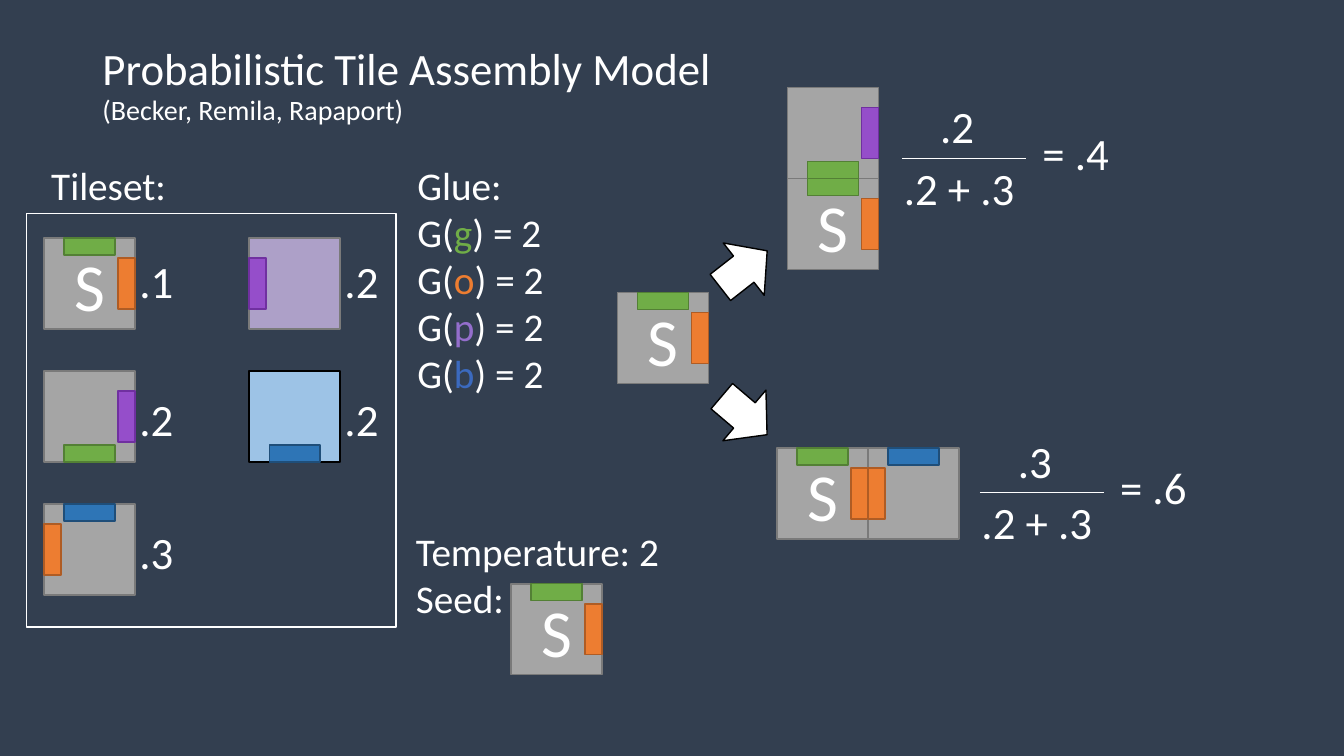
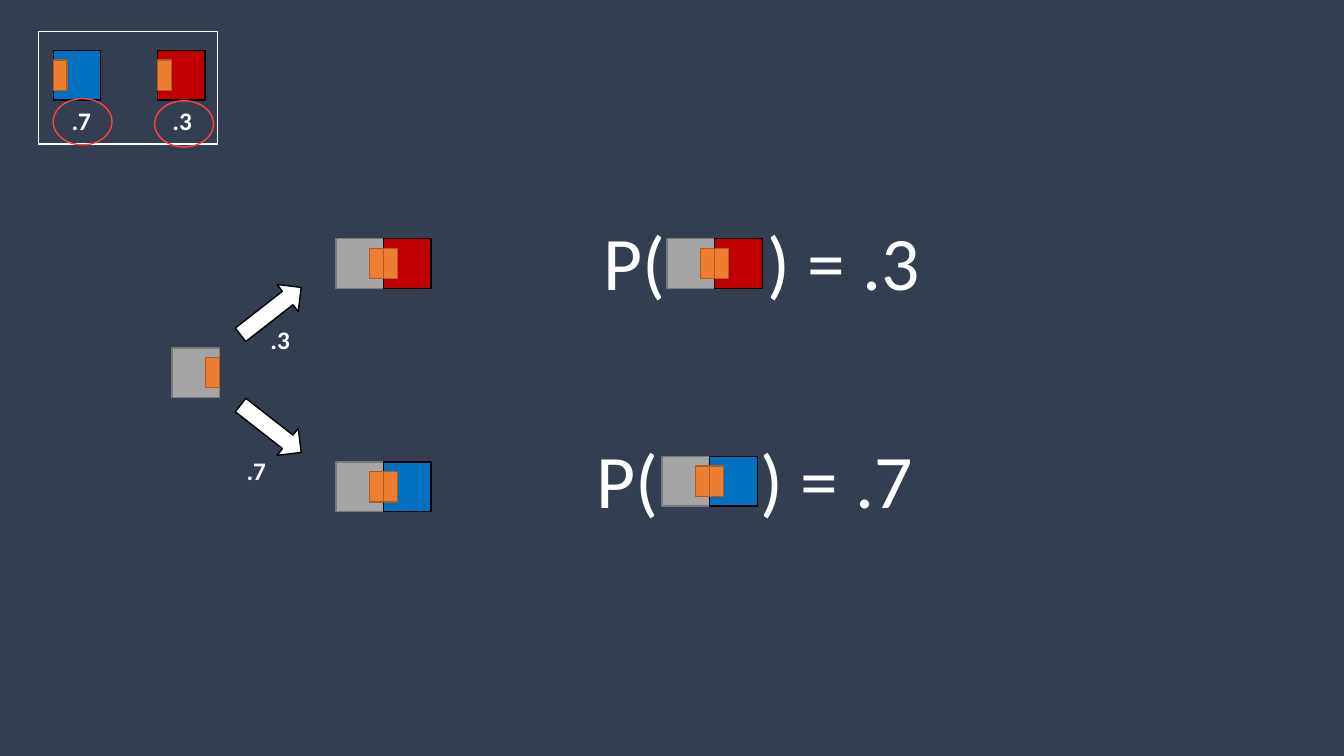
"""Build two slides on the probabilistic tile assembly model."""
from dataclasses import dataclass

from lxml import etree
from pptx import Presentation
from pptx.dml.color import RGBColor
from pptx.enum.shapes import MSO_CONNECTOR, MSO_SHAPE
from pptx.enum.text import MSO_ANCHOR, MSO_AUTO_SIZE, PP_ALIGN
from pptx.oxml.ns import qn
from pptx.util import Pt

RECT, OVAL, ARROW = MSO_SHAPE.RECTANGLE, MSO_SHAPE.OVAL, MSO_SHAPE.RIGHT_ARROW
LINE = MSO_CONNECTOR.STRAIGHT
TOP, MIDDLE = MSO_ANCHOR.TOP, MSO_ANCHOR.MIDDLE
LEFT, CENTER = PP_ALIGN.LEFT, PP_ALIGN.CENTER
FIXED = MSO_AUTO_SIZE.NONE


@dataclass(frozen=True)
class Theme:
    """Hold the shared colours, font and type sizes."""
    font: str = "Calibri"
    back: str = "333F50"
    white: str = "FFFFFF"
    black: str = "000000"
    ring: str = "FF4343"
    title: int = 32
    cite: int = 20
    text: int = 28
    value: int = 32
    seed: int = 48
    odds: int = 18
    prob: int = 54


T = Theme()
GLUES = {"g": ("70AD47", "538035"), "o": ("ED7D31", "AF5C24"),
         "p": ("954ECA", "7030A0"), "b": ("2E75B6", "1F4E79")}
TILES = {"gray": ("A5A5A5", "7A7A7A"), "lilac": ("ADA0C8", "7A7A7A"),
         "sky": ("9DC3E6", T.black), "red": ("C00000", T.black),
         "blue": ("0070C0", T.black)}
WORDS = {"g": "70AD47", "o": "ED7D31", "p": "946ECC", "b": "3B6ABF"}

BIG = {"tile": (65, 65), "glue": (36.3, 12.2)}
SMALL = {"tile": (34, 35.5), "glue": (21.5, 10)}
START = {"N": "g", "E": "o"}

TITLE = "Probabilistic Tile Assembly Model"
CITE = "(Becker, Remila, Rapaport)"
COLS = (31.5, 178)
ROWS = ((170, 178), (265, 276), (360, 371.5))
TILESET = [
    (0, 0, "gray", START, "S", ".1"),
    (1, 0, "lilac", {"W": "p"}, "", ".2"),
    (0, 1, "gray", {"S": "g", "E": "p"}, "", ".2"),
    (1, 1, "sky", {"S": "b"}, "", ".2"),
    (0, 2, "gray", {"N": "b", "W": "o"}, "", ".3"),
]
SEEDS = [(365, 417), (441.2, 208.8), (562.5, 127.5), (555, 320)]
JOINED = [(562.5, 62.5, {"S": "g", "E": "p"}),
          (620, 320, {"N": "b", "W": "o"})]
TURNS = [(510, 168.5, 322), (510.5, 273, 40.4)]
RATIOS = [(644.5, 113, ".2", ".2 + .3", "= .4"),
          (700, 352, ".3", ".2 + .3", "= .6")]

CHOICES = [(38, "blue", ".7", 44, (38, 70.5)),
           (112.5, "red", ".3", 116, (110.5, 72))]
PAIRS = [(240, 170.5, "red"), (240, 330, "blue"),
         (476.5, 170.5, "red"), (473, 326, "blue")]
STEPS = [(210, 322, ".3", 186, 228), (294, 38, ".7", 169, 322)]
PROBS = [(424, 150, "P(\t) = .3"), (419, 305.5, "P(\t) = .7")]


def color(code):
    """Return a colour from its code."""
    return RGBColor.from_string(code)


def write(para, runs, size, bold=False):
    """Add coloured runs to a paragraph."""
    for text, code in runs:
        run = para.add_run()
        run.text = text
        font = run.font
        font.name, font.size, font.bold = T.font, Pt(size), bold
        font.color.rgb = color(code)


def label(slide, x, y, w, h, lines, size, bold=False, tab=0):
    """Add a text box with one paragraph per line."""
    frame = slide.shapes.add_textbox(Pt(x), Pt(y), Pt(w), Pt(h)).text_frame
    frame.word_wrap = True
    for i, line in enumerate(lines):
        para = frame.add_paragraph() if i else frame.paragraphs[0]
        if tab:
            stops = etree.SubElement(para._p.get_or_add_pPr(), qn("a:tabLst"))
            etree.SubElement(stops, qn("a:tab"), pos=str(Pt(tab)), algn="l")
        runs = [(line, T.white)] if isinstance(line, str) else line
        write(para, runs, size, bold)


def shape(slide, kind, x, y, w, h, fill, edge, turn=0):
    """Add a flat outlined shape."""
    item = slide.shapes.add_shape(kind, Pt(x), Pt(y), Pt(w), Pt(h))
    item.shadow.inherit = False
    if fill:
        item.fill.solid()
        item.fill.fore_color.rgb = color(fill)
    else:
        item.fill.background()
    item.line.color.rgb = color(edge)
    item.line.width = Pt(1)
    item.rotation = turn
    return item


def tile(slide, x, y, kind, glues, scale, mark=""):
    """Add a tile with glues centred on its sides."""
    w, h = scale["tile"]
    span, deep = scale["glue"]
    base = shape(slide, RECT, x, y, w, h, *TILES[kind])
    if mark:
        frame = base.text_frame
        frame.margin_left = frame.margin_right = frame.margin_bottom = 0
        frame.margin_top = Pt(2)
        frame.vertical_anchor = MIDDLE
        frame.paragraphs[0].alignment = CENTER
        write(frame.paragraphs[0], [(mark, T.white)], T.seed)
    midx, midy = x + (w - span) / 2, y + (h - span) / 2
    spots = {"N": (midx, y, span, deep), "S": (midx, y + h - deep, span, deep),
             "W": (x, midy, deep, span), "E": (x + w - deep, midy, deep, span)}
    for side, glue in glues.items():
        shape(slide, RECT, *spots[side], *GLUES[glue])


def heading(holder, x, y, w, h, text, size):
    """Place and format a placeholder as one plain line."""
    holder.left, holder.top, holder.width, holder.height = map(Pt, (x, y, w, h))
    frame = holder.text_frame
    frame.auto_size, frame.vertical_anchor = FIXED, TOP
    para = frame.paragraphs[0]
    props = para._p.get_or_add_pPr()
    props.set("marL", "0")
    props.set("indent", "0")
    etree.SubElement(props, qn("a:buNone"))
    para.alignment, para.line_spacing, para.space_before = LEFT, 0.9, Pt(0)
    write(para, [(text, T.white)], size)


def ratio(slide, x, y, over, under, result):
    """Add a fraction around its bar, with the result."""
    label(slide, x + 20, y - 46, 86, 46, [over], T.value)
    label(slide, x - 6, y - 2, 113, 46, [under], T.value)
    label(slide, x + 93, y - 27, 113, 46, [result], T.value)
    bar = slide.shapes.add_connector(LINE, Pt(x), Pt(y), Pt(x + 88.5), Pt(y))
    bar.line.color.rgb = color(T.white)
    bar.line.width = Pt(0.5)
    etree.SubElement(bar._element.spPr, qn("a:effectLst"))


def model(prs):
    """Build the model slide."""
    slide = prs.slides.add_slide(prs.slide_layouts[1])
    heading(slide.shapes.title, 66, 30, 495, 40, TITLE, T.title)
    heading(slide.placeholders[1], 66, 65.5, 495, 30, CITE, T.cite)
    label(slide, 29.5, 111.5, 110, 41, ["Tileset:"], T.text)
    shape(slide, RECT, 19, 152.5, 264, 295.5, None, T.white)
    for col, row, kind, glues, mark, odds in TILESET:
        x, (y, low) = COLS[col], ROWS[row]
        tile(slide, x, y, kind, glues, BIG, mark)
        label(slide, x + 61, low, 86, 46, [odds], T.value)
    rules = [[("G(", T.white), (key, code), (") = 2", T.white)]
             for key, code in WORDS.items()]
    label(slide, 291, 111.5, 115, 177, ["Glue:"] + rules, T.text)
    label(slide, 290, 373, 200, 75, ["Temperature: 2", "Seed:"], T.text)
    for x, y in SEEDS:
        tile(slide, x, y, "gray", START, BIG, "S")
    for x, y, glues in JOINED:
        tile(slide, x, y, "gray", glues, BIG)
    for x, y, turn in TURNS:
        shape(slide, ARROW, x, y, 42.5, 47.5, T.white, T.black, turn)
    for item in RATIOS:
        ratio(slide, *item)


def chances(prs):
    """Build the slide of attachment chances."""
    slide = prs.slides.add_slide(prs.slide_layouts[6])
    shape(slide, RECT, 27.5, 22.5, 128, 80.5, None, T.white)
    for x, kind, odds, left, ring in CHOICES:
        tile(slide, x, 36, kind, {"W": "o"}, SMALL)
        label(slide, left, 72, 40, 29, [odds], T.odds, True)
        shape(slide, OVAL, *ring, 42, 33, None, T.ring)
    tile(slide, 123, 248.5, "gray", {"E": "o"}, SMALL)
    for y, turn, odds, left, top in STEPS:
        shape(slide, ARROW, 166, y, 55, 24.5, T.white, T.black, turn)
        label(slide, left, top, 40, 29, [odds], T.odds, True)
    for x, y, text in PROBS:
        label(slide, x, y, 260, 73, [text], T.prob, tab=117.5)
    for x, y, kind in PAIRS:
        tile(slide, x, y, "gray", {"E": "o"}, SMALL)
        tile(slide, x + SMALL["tile"][0], y, kind, {"W": "o"}, SMALL)


def main():
    """Build and save the deck."""
    prs = Presentation()
    prs.slide_width, prs.slide_height = Pt(960), Pt(540)
    back = prs.slide_master.background.fill
    back.solid()
    back.fore_color.rgb = color(T.back)
    model(prs)
    chances(prs)
    prs.save("out.pptx")


if __name__ == "__main__":
    main()
